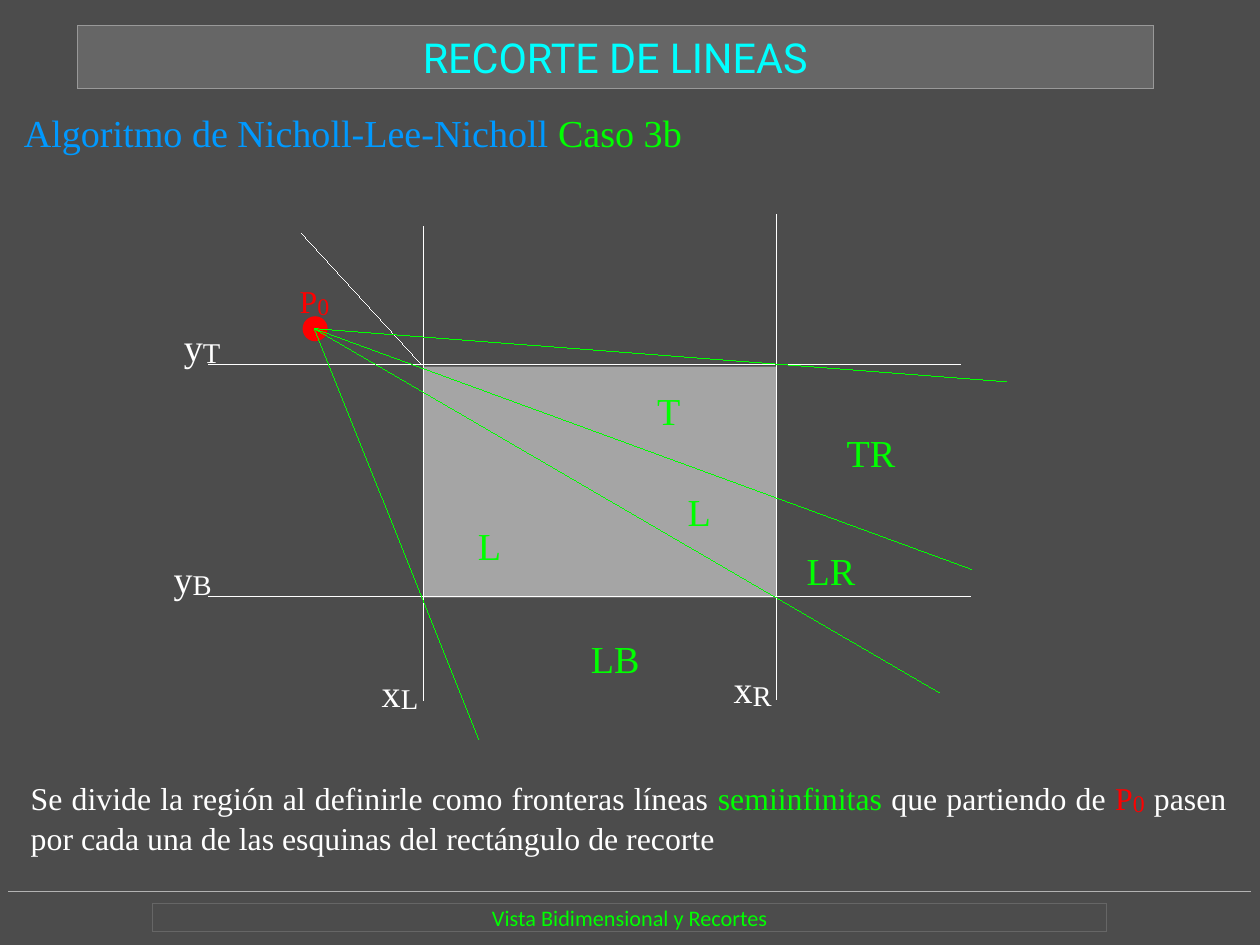
import pptx
import pptx.dml.color
import pptx.enum.shapes
import pptx.enum.text
import pptx.oxml.ns
import pptx.util
import lxml.etree

Pt = pptx.util.Pt
qn = pptx.oxml.ns.qn
ALIGN = pptx.enum.text.PP_ALIGN
ANCHOR = pptx.enum.text.MSO_ANCHOR
KIND = pptx.enum.shapes.MSO_SHAPE
SERIF = "Times New Roman"
WHITE, GREEN, RED = "FFFFFF", "00FF00", "FF0000"


def tint(color, code):
    """Give a colour object the hex value."""
    color.rgb = pptx.dml.color.RGBColor.from_string(code)


def style(item, form):
    """Set every attribute named in the dict."""
    for key, value in form.items():
        setattr(item, key, value)


def write(shape, runs, face=SERIF, align=ALIGN.LEFT, anchor=ANCHOR.TOP):
    """Fill a shape with runs of (text, size, colour, lowered)."""
    frame = shape.text_frame
    style(frame, dict(margin_left=0, margin_right=0, margin_top=0,
                      margin_bottom=0, word_wrap=True,
                      vertical_anchor=anchor))
    para = frame.paragraphs[0]
    para.alignment = align
    for text, size, code, low in runs:
        run = para.add_run()
        run.text = text
        style(run.font, dict(name=face, size=Pt(size)))
        tint(run.font.color, code)
        if low:
            run.font._element.set("baseline", "-5000")


def label(slide, box, runs, **form):
    """Add a text box with runs."""
    write(slide.shapes.add_textbox(*map(Pt, box)), runs, **form)


def hair(shape, code):
    """Give a shape or connector a hairline of one colour."""
    tint(shape.line.color, code)
    shape._element.spPr.find(qn("a:ln")).set("w", "0")


def stroke(slide, start, end, code):
    """Draw a hairline without shadow."""
    line = slide.shapes.add_connector(
        pptx.enum.shapes.MSO_CONNECTOR.STRAIGHT, *map(Pt, start + end))
    hair(line, code)
    lxml.etree.SubElement(line._element.spPr, qn("a:effectLst"))


def paint(shape, fill=None, edge=None):
    """Set fill and outline, or leave them out."""
    shape.shadow.inherit = False
    if fill:
        shape.fill.solid()
        tint(shape.fill.fore_color, fill)
    else:
        shape.fill.background()
    if edge:
        hair(shape, edge)
    else:
        shape.line.fill.background()


def header(slide, box):
    """Place the title bar."""
    title = slide.shapes.title
    left, top, width, height = map(Pt, box)
    style(title, dict(left=left, top=top, width=width, height=height))
    paint(title, "666666", "999999")
    write(title, [("RECORTE DE LINEAS", 26, "00FFFF", False)],
          "Roboto", ALIGN.CENTER, ANCHOR.MIDDLE)


def footer(slide, box):
    """Place the rule and the framed course name."""
    left, top, width, height = box
    stroke(slide, (left, top), (left + width, top), "B3B3B3")
    frame = slide.shapes.add_shape(
        KIND.RECTANGLE, Pt(left + 90.7), Pt(top + 7.9),
        Pt(width - 181.3), Pt(height - 7.9))
    paint(frame, edge="666666")
    write(frame, [("Vista Bidimensional y Recortes", 14, GREEN, False)],
          "Calibri", ALIGN.CENTER, ANCHOR.MIDDLE)


def grid(slide, box):
    """Draw the clip window, its four borders and their names."""
    x, y = box[:2]
    for h, top, end in ((159, 11, 309.4), (380.9, 3, 308.6)):
        stroke(slide, (x + h, y + top), (x + h, y + end), WHITE)
    for v, end in ((97.7, 496.8), (244, 503.3)):
        stroke(slide, (x + 23.6, y + v), (x + end, y + v), WHITE)
    pane = slide.shapes.add_shape(
        KIND.RECTANGLE, Pt(x + 159.1), Pt(y + 98.9), Pt(221.8), Pt(145.4))
    paint(pane, WHITE)
    clear = pane._element.spPr.find(".//" + qn("a:srgbClr"))
    lxml.etree.SubElement(clear, qn("a:alpha")).set("val", "50000")
    for axis, side, h, v in (("x", "L", 132.5, 282.5),
                             ("x", "R", 354.2, 280.3),
                             ("y", "T", 7.9, 64.6), ("y", "B", 1.4, 210.7)):
        label(slide, (x + h, y + v, 25.9, 33.1),
              [(axis, 24, WHITE, False), (side, 31, WHITE, True)],
              align=ALIGN.JUSTIFY)


def point(slide, box):
    """Mark the start point and the diagonal beside it."""
    x, y = box[:2]
    label(slide, (x + 80.8, y + 39.4, 20.9, 27.4),
          [("P", 20, RED, False), ("0", 25.9, RED, True)])
    dot = slide.shapes.add_shape(
        KIND.OVAL, Pt(x + 82.6), Pt(y + 67.2), Pt(15.8), Pt(15.8))
    paint(dot, RED)
    stroke(slide, (x + 157.7, y + 97.7), (x + 82, y + 14.9), WHITE)


def zones(slide, box):
    """Name the zones and draw the rays that part them."""
    x, y = box[:2]
    for name, h, v in (("TR", 425.4, 138.4), ("LR", 400.2, 212.7),
                       ("LB", 264.2, 268), ("L", 193, 197),
                       ("L", 325.2, 175.4), ("T", 306, 112.1)):
        label(slide, (x + h, y + v, 36, 28.8), [(name, 24, GREEN, False)])
    for h, v in ((526.3, 108.5), (504, 226.6), (483.8, 304.3),
                 (193.7, 333.8)):
        stroke(slide, (x + 90, y + 75), (x + h, y + v), GREEN)


def main():
    """Build the slide and save it."""
    deck = pptx.Presentation()
    style(deck, dict(slide_width=Pt(793.7), slide_height=Pt(595.28)))
    slide = deck.slides.add_slide(deck.slide_layouts[5])
    slide.background.fill.solid()
    tint(slide.background.fill.fore_color, "4C4C4C")
    footer(slide, (5.6, 561.4, 782.1, 25.2))
    header(slide, (49, 15.9, 677.5, 39.8))
    label(slide, (15, 69.1, 769, 28.8),
          [("Algoritmo de Nicholl-Lee-Nicholl", 24, "0099FF", False),
           (" Caso 3b", 24, GREEN, False)])
    label(slide, (19.4, 484.4, 753.1, 61.9),
          [("Se divide la región al definirle como fronteras líneas ",
            20, WHITE, False),
           ("semiinfinitas", 20, GREEN, False),
           (" que partiendo de ", 20, WHITE, False),
           ("P", 20, RED, False), ("0", 25.9, RED, True),
           (" pasen por cada una de las esquinas del rectángulo de recorte",
            20, WHITE, False)], align=ALIGN.JUSTIFY)
    area = (108, 132, 526.3, 333.8)
    for part in (grid, point, zones):
        part(slide, area)
    deck.save("out.pptx")


if __name__ == "__main__":
    main()
